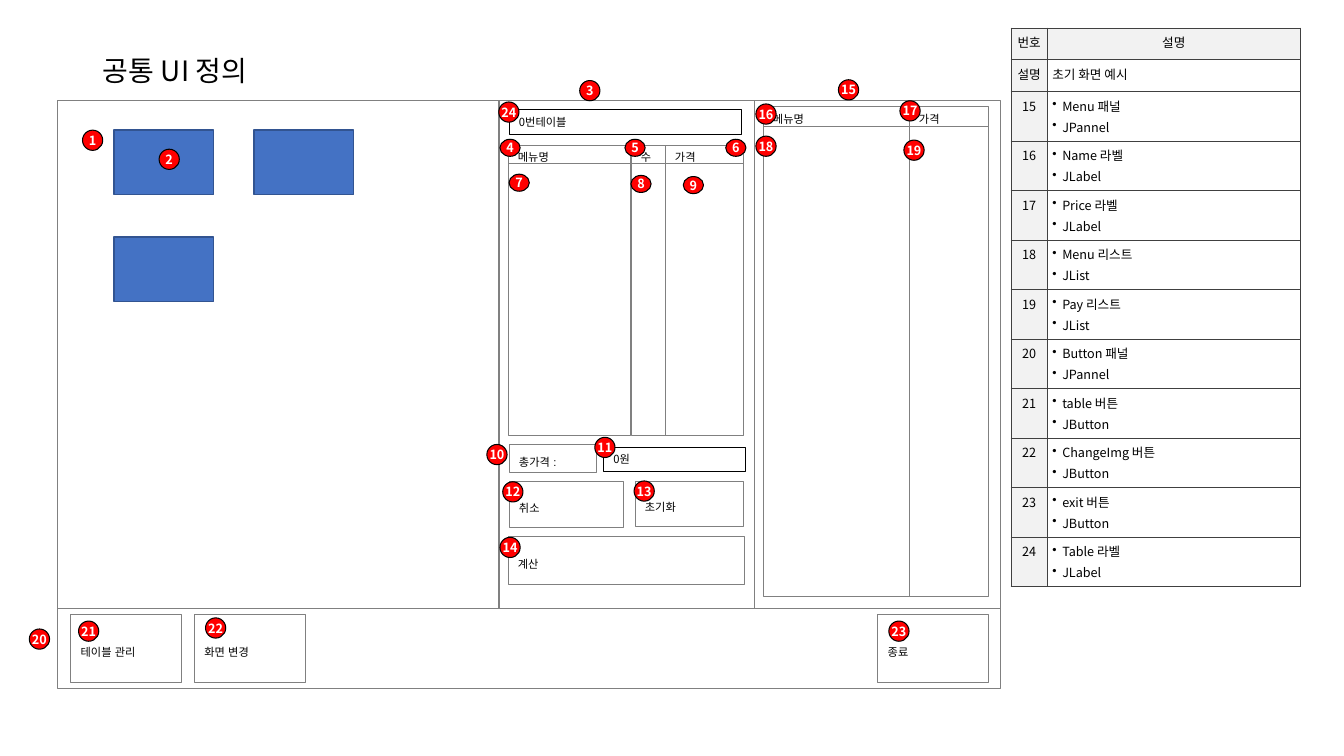
"""Builds the common UI definition slide."""
from lxml.etree import SubElement
from pptx import Presentation
from pptx.dml.color import RGBColor as Rgb
from pptx.enum.shapes import MSO_SHAPE as Shape
from pptx.enum.text import MSO_ANCHOR as Anchor, MSO_AUTO_SIZE as AutoSize, PP_ALIGN as Align
from pptx.oxml import parse_xml
from pptx.oxml.ns import nsdecls, qn
from pptx.util import Cm, Pt

COLORS = {"black": "000000", "white": "FFFFFF", "frame": "808080", "badge": "FF0000",
          "table": "4472C4", "table_edge": "325491", "head": "F2F2F2", "grid": "404040"}
NOTO, ARIAL = "Noto Sans CJK KR", "Arial"
PANELS = [(1.45, 15.34, 23.77, 2.01), (12.57, 2.54, 6.43, 12.78),
          (1.45, 2.54, 11.13, 12.8), (19, 2.54, 6.22, 12.8)]
TABLE_BUTTONS = [(2.87, 3.28), (2.87, 5.97), (6.4, 3.28)]
ORDER_COLUMNS = [("메뉴명", 12.8, 3.1), ("수", 15.9, 0.86), ("가격", 16.76, 1.98)]
MENU_COLUMNS = [("메뉴명", 19.23, 3.68), ("가격", 22.91, 2.01)]
BOTTOM_BUTTONS = [("테이블 관리", 1.78), ("화면 변경", 4.9), ("종료", 22.12)]
ORDER_LABELS = [("초기화", (16, 12.14, 2.74, 1.12)), ("취소", (12.83, 12.14, 2.87, 1.14)),
                ("계산", (12.8, 13.51, 5.97, 1.22)), ("총가격 :", (12.83, 11.2, 2.21, 0.71))]
FIELDS = [("0원", (15.21, 11.28, 3.58, 0.61)), ("0번테이블", (12.83, 2.77, 5.87, 0.61))]
BADGES = [(2.08, 3.28), (4.01, 3.76), (14.61, 2.03), (12.6, 3.51), (15.75, 3.51), (18.29, 3.51),
          (12.83, 4.39), (15.9, 4.42), (17.22, 4.45), (12.27, 11.2), (14.99, 11.02), (12.67, 12.14),
          (15.98, 12.12), (12.6, 13.54), (21.13, 2.01), (19.05, 2.62), (22.68, 2.54), (19.05, 3.43),
          (22.78, 3.53), (0.74, 15.85), (1.98, 15.65), (5.18, 15.57), (22.4, 15.65), (12.57, 2.57)]
FLAT_BADGES = range(4, 10)
FIRST_DESCRIBED = 15
DESCRIPTIONS = [("Menu 패널", "JPannel"), ("Name 라벨", "JLabel"), ("Price 라벨", "JLabel"),
                ("Menu 리스트", "JList"), ("Pay 리스트", "JList"), ("Button 패널", "JPannel"),
                ("table 버튼", "JButton"), ("ChangeImg 버튼", "JButton"), ("exit 버튼", "JButton"),
                ("Table 라벨", "JLabel")]


def color(name):
    """Return the named colour."""
    return Rgb.from_string(COLORS[name])


def style(paragraph, size, font=NOTO, ink="black", bold=False, align=Align.LEFT):
    """Format a paragraph and its runs."""
    paragraph.alignment = align
    for run in paragraph.runs:
        run.font.size, run.font.name, run.font.bold = Pt(size), font, bold
        run.font.color.rgb = color(ink)
        SubElement(run.font._element, qn("a:ea")).set("typeface", font)


def add_box(slide, box, kind=Shape.RECTANGLE, fill=None, edge="frame", weight=0.5):
    """Add a flat outlined shape at a box given in centimetres."""
    shape = slide.shapes.add_shape(kind, *map(Cm, box))
    shape.shadow.inherit = False
    if fill:
        shape.fill.solid()
        shape.fill.fore_color.rgb = color(fill)
    else:
        shape.fill.background()
    shape.line.color.rgb, shape.line.width = color(edge), Pt(weight)
    return shape


def add_label(slide, text, box):
    """Add a grey frame with a small caption."""
    frame = add_box(slide, box).text_frame
    frame.text = text
    frame.vertical_anchor = Anchor.MIDDLE
    frame.paragraphs[0].line_spacing = 1.5
    style(frame.paragraphs[0], 8, ARIAL)


def add_field(slide, text, box):
    """Add a black frame that shows a value."""
    frame = add_box(slide, box, edge="black", weight=0.75).text_frame
    frame.text = text
    frame.vertical_anchor, frame.auto_size = Anchor.TOP, AutoSize.SHAPE_TO_FIT_TEXT
    style(frame.paragraphs[0], 8)


def add_columns(slide, columns, top, head_height, list_height):
    """Add list columns, each under its heading."""
    for heading, left, width in columns:
        add_box(slide, (left, top + head_height, width, list_height))
        add_label(slide, heading, (left, top, width, head_height))


def add_badge(slide, number, left, top):
    """Add a numbered red marker."""
    height = 0.43 if number in FLAT_BADGES else 0.51
    frame = add_box(slide, (left, top, 0.51, height), Shape.OVAL, "badge", "black", 0.75).text_frame
    frame.text = str(number)
    frame.margin_left = frame.margin_right = frame.margin_top = frame.margin_bottom = 0
    frame.word_wrap, frame.vertical_anchor = False, Anchor.MIDDLE
    style(frame.paragraphs[0], 9, ink="white", bold=True, align=Align.CENTER)


def fill_cell(cell, lines, fill, align, bulleted):
    """Write and format one cell of the description table."""
    cell.text_frame.text = "\n".join(lines)
    cell.margin_left = cell.margin_right = cell.margin_top = cell.margin_bottom = Cm(0.13)
    for paragraph in cell.text_frame.paragraphs:
        style(paragraph, 9, align=align)
        paragraph.space_before = Pt(1.8)
        if bulleted:
            props = paragraph._p.get_or_add_pPr()
            props.set("marL", str(Cm(0.25)))
            props.set("indent", str(Cm(-0.25)))
            SubElement(props, qn("a:buChar")).set("char", "•")
    cell.fill.solid()
    cell.fill.fore_color.rgb = color(fill)
    for place, side in enumerate("LRTB"):
        cell._tc.get_or_add_tcPr().insert(place, parse_xml(
            f'<a:ln{side} {nsdecls("a")} w="{Pt(0.75)}"><a:solidFill>'
            f'<a:srgbClr val="{COLORS["grid"]}"/></a:solidFill></a:ln{side}>'))


def add_descriptions(slide):
    """Add the table that explains the numbered parts."""
    entries = [("번호", ["설명"]), ("설명", ["초기 화면 예시"])]
    entries += [(str(number), lines) for number, lines in enumerate(DESCRIPTIONS, FIRST_DESCRIBED)]
    heights = [0.8] * 2 + [1.24] * len(DESCRIPTIONS)
    table = slide.shapes.add_table(len(entries), 2, Cm(25.48), Cm(0.71), Cm(7.29),
                                   Cm(sum(heights))).table
    table.first_row = table.horz_banding = False
    table.columns[0].width, table.columns[1].width = Cm(0.91), Cm(6.38)
    for row, (number, lines) in enumerate(entries):
        table.rows[row].height = Cm(heights[row])
        heading = row == 0
        fill_cell(table.cell(row, 0), [number], "head", Align.CENTER, False)
        fill_cell(table.cell(row, 1), lines, "head" if heading else "white",
                  Align.CENTER if heading else Align.LEFT, row > 1)


def add_title(slide, text):
    """Place and format the slide title."""
    title = slide.shapes.title
    title.left, title.top, title.width, title.height = map(Cm, (2.34, 1.02, 29.21, 1.63))
    title.text_frame.text = text
    title.text_frame.vertical_anchor = Anchor.MIDDLE
    title.text_frame.paragraphs[0].line_spacing = 0.9
    style(title.text_frame.paragraphs[0], 20)


def main():
    """Build the slide and save it."""
    deck = Presentation()
    deck.slide_width, deck.slide_height = Cm(33.87), Cm(19.05)
    slide = deck.slides.add_slide(deck.slide_layouts[5])
    add_title(slide, "공통 UI 정의")
    add_descriptions(slide)
    for panel in PANELS:
        add_box(slide, panel)
    for left, top in TABLE_BUTTONS:
        add_box(slide, (left, top, 2.51, 1.63), fill="table", edge="table_edge", weight=1)
    add_columns(slide, ORDER_COLUMNS, 3.66, 0.45, 6.86)
    add_columns(slide, MENU_COLUMNS, 2.67, 0.51, 11.86)
    for caption, left in BOTTOM_BUTTONS:
        add_label(slide, caption, (left, 15.47, 2.79, 1.73))
    for caption, box in ORDER_LABELS:
        add_label(slide, caption, box)
    for value, box in FIELDS:
        add_field(slide, value, box)
    for number, (left, top) in enumerate(BADGES, 1):
        add_badge(slide, number, left, top)
    deck.save("out.pptx")


main()
